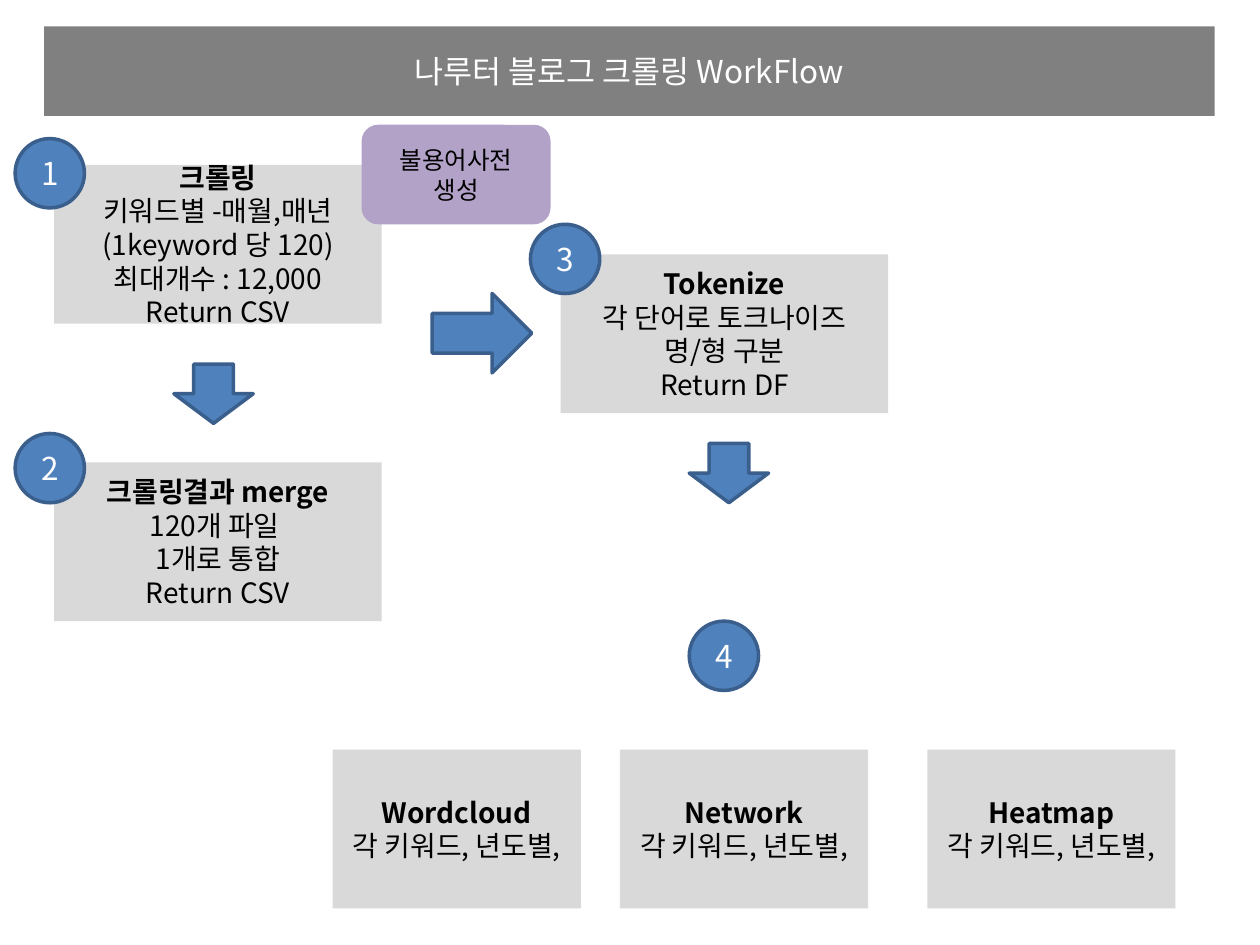
from pptx import Presentation
from pptx.dml.color import RGBColor
from pptx.enum.shapes import MSO_SHAPE as Shape
from pptx.enum.text import MSO_ANCHOR as Anchor, MSO_AUTO_SIZE as AutoSize, PP_ALIGN as Align
from pptx.oxml.ns import qn
from pptx.util import Inches, Pt

FONT = "Noto Sans CJK KR"
GREY, BLUE, NAVY = "D9D9D9", "4F81BD", "3A5F8C"
BLACK, WHITE = "000000", "FFFFFF"
rgb = RGBColor.from_string


def add_block(kind, left, top, width, height, fill, outline=None):
    shape = slide.shapes.add_shape(kind, Inches(left), Inches(top), Inches(width), Inches(height))
    shape.shadow.inherit = False
    shape.fill.solid()
    shape.fill.fore_color.rgb = rgb(fill)
    if outline:
        shape.line.color.rgb = rgb(outline)
        shape.line.width = Pt(2)
    else:
        shape.line.fill.background()
    return shape


def write_lines(shape, lines, size, color, bold_heading=False):
    """Fill the shape with centred paragraphs, the first one optionally bold."""
    frame = shape.text_frame
    frame.word_wrap = True
    frame.auto_size = AutoSize.NONE
    frame.vertical_anchor = Anchor.MIDDLE
    for index, line in enumerate(lines):
        paragraph = frame.add_paragraph() if index else frame.paragraphs[0]
        paragraph.alignment = Align.CENTER
        run = paragraph.add_run()
        run.text = line
        run.font.size = Pt(size)
        run.font.name = FONT
        run.font.bold = bold_heading and index == 0
        run.font.color.rgb = rgb(color)
        east_asian = run.font._element.makeelement(qn("a:ea"), {"typeface": FONT})
        run.font._element.find(qn("a:latin")).addnext(east_asian)


presentation = Presentation()
presentation.slide_width, presentation.slide_height = Inches(10), Inches(7.5)
slide = presentation.slides.add_slide(presentation.slide_layouts[5])

title = slide.shapes.title
title.left, title.top, title.width, title.height = Inches(0.35), Inches(0.21), Inches(9.29), Inches(0.71)
title.fill.solid()
title.fill.fore_color.rgb = rgb("808080")
write_lines(title, ["나루터 블로그 크롤링 WorkFlow"], 18, WHITE)

# Process steps and their outputs
STEP_WIDTH, OUTPUT_WIDTH, BOX_HEIGHT = 2.6, 1.97, 1.26
OUTPUT_TOP, OUTPUT_NOTE = 5.95, "각 키워드, 년도별,"
boxes = [
    (0.43, 1.31, STEP_WIDTH,
     ["크롤링", "키워드별 -매월,매년", "(1keyword 당 120)", "최대개수 : 12,000", "Return CSV"]),
    (0.43, 3.67, STEP_WIDTH, ["크롤링결과 merge", "120개 파일 ", "1개로 통합", "Return CSV"]),
    (4.45, 2.02, STEP_WIDTH, ["Tokenize", "각 단어로 토크나이즈", "명/형 구분", "Return DF"]),
    (2.64, OUTPUT_TOP, OUTPUT_WIDTH, ["Wordcloud", OUTPUT_NOTE]),
    (4.92, OUTPUT_TOP, OUTPUT_WIDTH, ["Network", OUTPUT_NOTE]),
    (7.36, OUTPUT_TOP, OUTPUT_WIDTH, ["Heatmap", OUTPUT_NOTE]),
]
for left, top, width, lines in boxes:
    box = add_block(Shape.RECTANGLE, left, top, width, BOX_HEIGHT, GREY)
    write_lines(box, lines, 16, BLACK, bold_heading=True)

# Flow arrows
arrows = [(3.43, 2.33, 0.79, 0), (1.46, 2.81, 0.47, 90), (5.55, 3.44, 0.47, 90)]
for left, top, length, rotation in arrows:
    arrow = add_block(Shape.RIGHT_ARROW, left, top, length, 0.63, BLUE, NAVY)
    arrow.rotation = rotation

# Step numbers
badges = [(0.12, 1.1), (0.12, 3.44), (4.21, 1.78), (5.47, 4.93)]
for number, (left, top) in enumerate(badges, start=1):
    badge = add_block(Shape.OVAL, left, top, 0.55, 0.55, BLUE, NAVY)
    write_lines(badge, [str(number)], 18, WHITE)

stopwords = add_block(Shape.ROUNDED_RECTANGLE, 2.87, 0.99, 1.5, 0.79, "B3A2C7")
write_lines(stopwords, ["불용어사전 생성"], 14, BLACK)

presentation.save("out.pptx")
